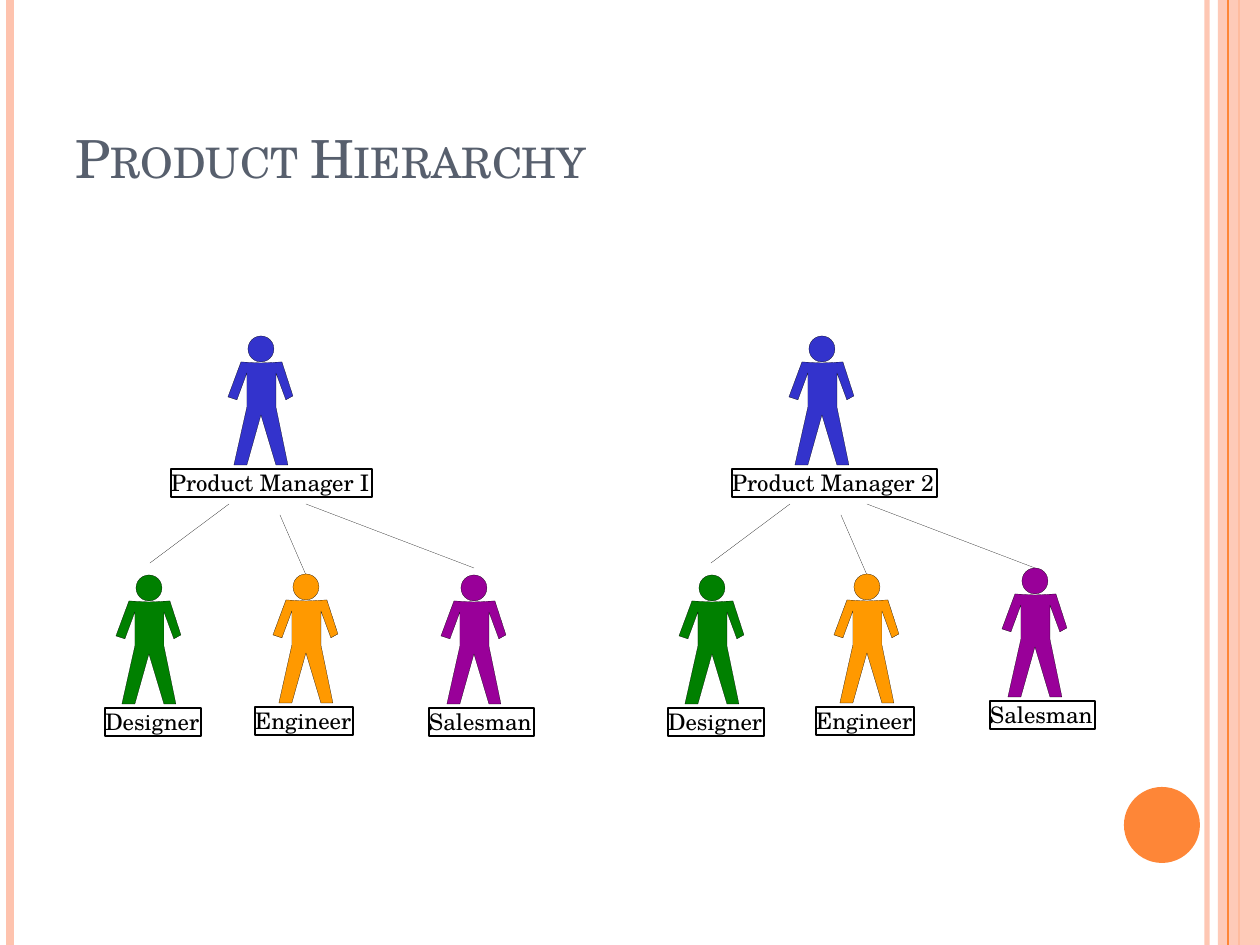
from lxml import etree
from pptx import Presentation, util as u
from pptx.dml.color import RGBColor
from pptx.enum import shapes, text
from pptx.oxml.ns import qn

PX = 914400 / 126
FONT = "TeX Gyre Schola"
BLACK = RGBColor(0x00, 0x00, 0x00)
SLATE = RGBColor(0x57, 0x5F, 0x6D)
ORANGE = RGBColor(0xFE, 0x86, 0x37)
PEACH = RGBColor(0xFE, 0xC3, 0xAE)
BLUE = RGBColor(0x33, 0x33, 0xCC)
GREEN = RGBColor(0x00, 0x80, 0x00)
AMBER = RGBColor(0xFF, 0x99, 0x00)
PURPLE = RGBColor(0x99, 0x00, 0x99)

HAIRLINE = 0.11
HEAD = 26
BODY = [(33, 53), (48, 103), (60, 103), (48, 45), (48, 11), (58, 38),
        (65, 34), (54, 0), (33, 1), (13, 0), (0, 35), (9, 38),
        (19, 11), (19, 45), (6, 103), (19, 103)]
BRANCHES = [(123, 168, 44, 227), (200, 168, 368, 232), (174, 179, 200, 239)]


def emu(*pixels):
    return [u.Emu(round(p * PX)) for p in pixels]


def set_alpha(fill, percent):
    color = fill._xPr.find(qn("a:solidFill"))[0]
    etree.SubElement(color, qn("a:alpha"), val=str(percent * 1000))


def paint(shape, fill, line=None):
    shape.shadow.inherit = False
    shape.fill.solid()
    shape.fill.fore_color.rgb = fill
    if line is None:
        shape.line.fill.background()
    else:
        shape.line.color.rgb = line
        shape.line.width = u.Pt(HAIRLINE)


def add_line(parent, x1, y1, x2, y2, color, width):
    line = parent.add_connector(shapes.MSO_CONNECTOR.STRAIGHT, *emu(x1, y1, x2, y2))
    line.line.color.rgb = color
    line.line.width = u.Pt(width)
    etree.SubElement(line._element.spPr, qn("a:effectLst"))
    return line


def add_text(parent, words, box, size, color):
    frame = parent.add_textbox(*emu(*box))
    frame.text_frame.text = words
    font = frame.text_frame.paragraphs[0].runs[0].font
    font.name, font.size, font.color.rgb = FONT, u.Pt(size), color
    return frame


def add_decoration(parent, width, height):
    """Side stripes and the corner disc."""
    edge = add_line(parent, width - 53, 0, width - 53, height, PEACH, 3)
    set_alpha(edge.line.fill, 93)
    add_line(parent, 10, 0, 10, height, PEACH, 4.5)
    add_line(parent, width - 21, 0, width - 21, height, ORANGE, 1.5)
    band = parent.add_shape(shapes.MSO_SHAPE.RECTANGLE, *emu(width - 42, 0, 42, height))
    paint(band, PEACH)
    set_alpha(band.fill, 87)
    add_line(parent, width - 32, 0, width - 32, height, ORANGE, 0.75)
    disc = parent.add_shape(shapes.MSO_SHAPE.OVAL, *emu(width - 136, 787, 76, 76))
    paint(disc, ORANGE)


def add_title(parent, words, box):
    title = add_text(parent, words, box, 30, SLATE)
    title.text_frame.word_wrap = True
    title.text_frame.vertical_anchor = text.MSO_ANCHOR.BOTTOM
    title.text_frame.paragraphs[0].runs[0].font._element.set("cap", "small")


def add_person(parent, x, y, role, color, label_dx, label_width):
    """Head, body and boxed role, from the top left corner of the figure."""
    head = parent.add_shape(shapes.MSO_SHAPE.OVAL, *emu(x + 20, y, HEAD, HEAD))
    paint(head, color, BLACK)
    outline = parent.build_freeform(*BODY[0], scale=PX)
    outline.add_line_segments(BODY[1:], close=True)
    paint(outline.convert_to_shape(*emu(x, y + HEAD)), color, BLACK)

    label = add_text(parent, role, (x + label_dx, y + 133, label_width, 28), 13, BLACK)
    label.line.color.rgb = BLACK
    label.line.width = u.Pt(0.75)
    frame = label.text_frame
    frame.margin_left = frame.margin_right = frame.margin_top = frame.margin_bottom = 0
    frame.word_wrap = False
    frame.auto_size = text.MSO_AUTO_SIZE.SHAPE_TO_FIT_TEXT


def add_team(parent, x, y, manager, manager_width, designer_x, salesman_y):
    """One manager with three reports, as a group."""
    team = parent.add_group_shape().shapes
    for x1, y1, x2, y2 in BRANCHES:
        add_line(team, x + x1, y + y1, x + x2, y + y2, BLACK, HAIRLINE)
    members = [
        (122, 0, manager, BLUE, -57, manager_width),
        (designer_x, 239, "Designer", GREEN, -11, 96),
        (167, 238, "Engineer", AMBER, -18, 98),
        (335, salesman_y, "Salesman", PURPLE, -12, 105),
    ]
    for dx, dy, *person in members:
        add_person(team, x + dx, y + dy, *person)


deck = Presentation()
deck.slide_width, deck.slide_height = emu(1260, 945)
slide = deck.slides.add_slide(deck.slide_layouts[6]).shapes

add_decoration(slide, 1260, 945)
add_title(slide, "Product Hierarchy", (63, 38, 1029, 157))
add_team(slide, 106, 336, "Product Manager I", 201, 10, 239)
add_team(slide, 667, 336, "Product Manager 2", 205, 12, 232)

deck.save("out.pptx")
